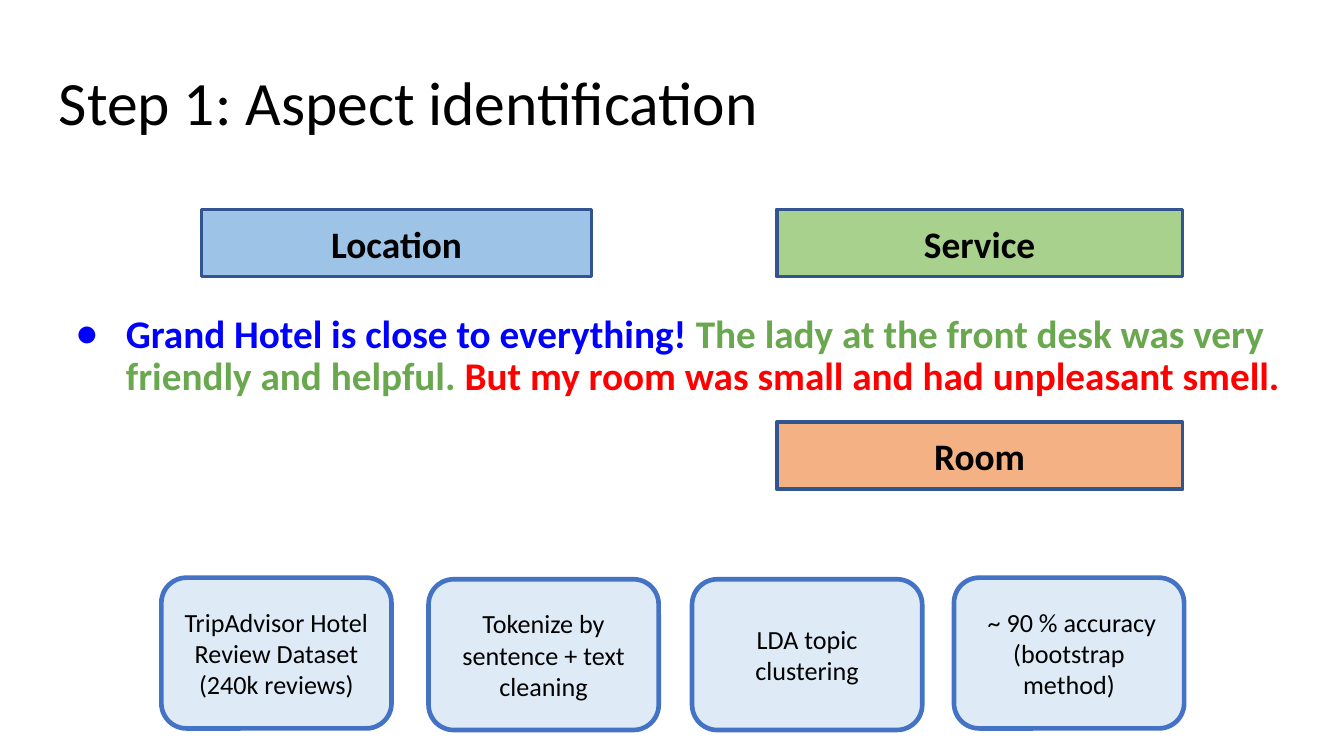
from dataclasses import dataclass

import pptx
import pptx.dml.color
import pptx.enum.shapes
import pptx.enum.text
import pptx.oxml.ns
import pptx.util
from lxml import etree

Cm = pptx.util.Cm
Pt = pptx.util.Pt
RGBColor = pptx.dml.color.RGBColor
MSO_SHAPE = pptx.enum.shapes.MSO_SHAPE
MSO_ANCHOR = pptx.enum.text.MSO_ANCHOR
PP_ALIGN = pptx.enum.text.PP_ALIGN

FONT = "Calibri"
BLACK = RGBColor(0x00, 0x00, 0x00)
BLUE = RGBColor(0x00, 0x00, 0xFF)
GREEN = RGBColor(0x6A, 0xA8, 0x4F)
RED = RGBColor(0xFF, 0x00, 0x00)
LOCATION_FILL = RGBColor(0x9D, 0xC3, 0xE6)
SERVICE_FILL = RGBColor(0xA9, 0xD1, 0x8E)
ROOM_FILL = RGBColor(0xF4, 0xB1, 0x83)
ASPECT_LINE = RGBColor(0x32, 0x54, 0x91)
STEP_FILL = RGBColor(0xDE, 0xEB, 0xF7)
STEP_LINE = RGBColor(0x44, 0x72, 0xC4)


@dataclass
class Box:
    text: str
    left: float
    top: float
    width: float
    height: float
    fill: RGBColor


@dataclass
class BoxStyle:
    outline: MSO_SHAPE
    line: RGBColor
    line_width: float
    size: int
    bold: bool


def style_font(font, size: int, color: RGBColor, bold: bool = False) -> None:
    font.name = FONT
    font.size = Pt(size)
    font.bold = bold
    font.color.rgb = color


def place(holder, left: float, top: float, width: float, height: float) -> None:
    """Move a placeholder and give it even margins and top anchoring."""
    holder.left, holder.top = Cm(left), Cm(top)
    holder.width, holder.height = Cm(width), Cm(height)
    frame = holder.text_frame
    frame.auto_size = pptx.enum.text.MSO_AUTO_SIZE.NONE
    frame.word_wrap = True
    frame.vertical_anchor = MSO_ANCHOR.TOP
    frame.margin_left = frame.margin_right = Cm(0.25)
    frame.margin_top = frame.margin_bottom = Cm(0.25)


def set_paragraph(paragraph) -> None:
    paragraph.alignment = PP_ALIGN.LEFT
    paragraph.line_spacing = 0.9
    paragraph.space_before = Pt(0)


def draw_box(slide, box: Box, style: BoxStyle) -> None:
    shape = slide.shapes.add_shape(
        style.outline, Cm(box.left), Cm(box.top), Cm(box.width), Cm(box.height))
    shape.shadow.inherit = False
    shape.fill.solid()
    shape.fill.fore_color.rgb = box.fill
    shape.line.color.rgb = style.line
    shape.line.width = Pt(style.line_width)
    frame = shape.text_frame
    frame.word_wrap = True
    frame.vertical_anchor = MSO_ANCHOR.MIDDLE
    frame.text = box.text
    paragraph = frame.paragraphs[0]
    paragraph.alignment = PP_ALIGN.CENTER
    style_font(paragraph.runs[0].font, style.size, BLACK, style.bold)


ASPECT_STYLE = BoxStyle(MSO_SHAPE.RECTANGLE, ASPECT_LINE, 2, 20, True)
STEP_STYLE = BoxStyle(MSO_SHAPE.ROUNDED_RECTANGLE, STEP_LINE, 2.5, 14, False)

ASPECTS = [
    Box("Location", 3.81, 3.96, 7.37, 1.27, LOCATION_FILL),
    Box("Service", 14.68, 3.96, 7.67, 1.27, SERVICE_FILL),
    Box("Room", 14.68, 7.98, 7.67, 1.27, ROOM_FILL),
]
STEPS = [
    Box(text, left, top, 4.35, 2.85, STEP_FILL)
    for text, left, top in [
        ("TripAdvisor Hotel Review Dataset (240k reviews)", 3.05, 10.92),
        ("Tokenize by sentence + text cleaning", 8.1, 10.95),
        ("LDA topic clustering", 13.08, 10.95),
        (" ~ 90 % accuracy (bootstrap method)", 18.03, 10.92),
    ]
]
REVIEW = [
    ("Grand Hotel is close to everything! ", BLUE),
    ("The lady at the front desk was very friendly and helpful. ", GREEN),
    ("But my room was small and had unpleasant smell.", RED),
]


def main() -> None:
    deck = pptx.Presentation()
    deck.slide_width, deck.slide_height = Cm(25.4), Cm(14.29)
    slide = deck.slides.add_slide(deck.slide_layouts[1])

    # Title
    title = slide.shapes.title
    place(title, 0.86, 1.12, 23.67, 2.82)
    title.text_frame.text = "Step 1: Aspect identification"
    heading = title.text_frame.paragraphs[0]
    set_paragraph(heading)
    style_font(heading.runs[0].font, 33, BLACK)

    # Review, one colour per aspect
    body = slide.placeholders[1]
    place(body, 0.86, 5.69, 23.67, 9.5)
    review = body.text_frame.paragraphs[0]
    set_paragraph(review)
    properties = review._p.get_or_add_pPr()
    properties.set("marL", str(Cm(1.27)))
    properties.set("indent", str(-Cm(0.96)))
    bullet = etree.SubElement(properties, pptx.oxml.ns.qn("a:buChar"))
    bullet.set("char", "●")
    for sentence, color in REVIEW:
        run = review.add_run()
        run.text = sentence
        style_font(run.font, 21, color, bold=True)

    # Aspect labels and process steps
    for aspect in ASPECTS:
        draw_box(slide, aspect, ASPECT_STYLE)
    for step in STEPS:
        draw_box(slide, step, STEP_STYLE)

    deck.save("out.pptx")


if __name__ == "__main__":
    main()
